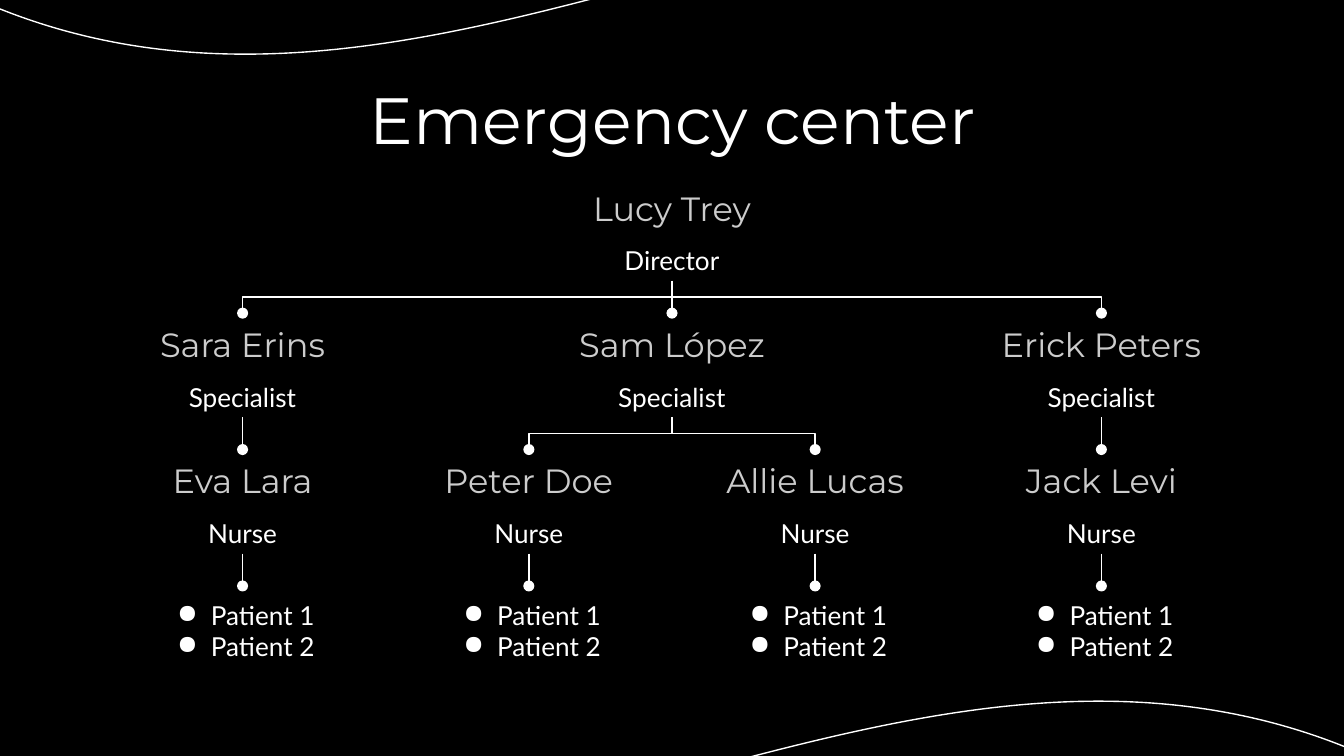
from lxml.etree import SubElement
from pptx import Presentation
from pptx.dml.color import RGBColor
from pptx.enum.shapes import MSO_CONNECTOR, MSO_SHAPE
from pptx.enum.text import MSO_ANCHOR, MSO_AUTO_SIZE, PP_ALIGN
from pptx.oxml.ns import qn
from pptx.util import Pt

SCALE = 4572  # EMU per px, 200 px to the inch
BLACK = RGBColor(0x00, 0x00, 0x00)
WHITE = RGBColor(0xFF, 0xFF, 0xFF)
GRAY = RGBColor(0xCC, 0xCC, 0xCC)
HEADING_FONT = "Montserrat"
BODY_FONT = "Lato"

# Chart grid: four columns, with the center between the middle two
CENTER = 1000
COLUMNS = [361 + 426 * column for column in range(4)]
DIRECTOR_TOP, SPECIALIST_TOP, NURSE_TOP, PATIENTS_TOP = [263 + 203 * row for row in range(4)]
BOX_WIDTH = 408
NAME_HEIGHT = 96
ROLE_OFFSET, ROLE_HEIGHT = 81, 74
PERSON_HEIGHT = ROLE_OFFSET + ROLE_HEIGHT


def px(length):
    return round(length * SCALE)


def write_text(frame, text, size=14, font=BODY_FONT, color=WHITE,
               anchor=MSO_ANCHOR.TOP, bullet=None):
    """Fill a text frame with one centered paragraph per line of text."""
    frame.word_wrap = True
    frame.auto_size = MSO_AUTO_SIZE.NONE
    frame.vertical_anchor = anchor
    frame.margin_left = frame.margin_right = px(20)
    frame.margin_top = frame.margin_bottom = px(20)
    for index, line in enumerate(text.split("\n")):
        paragraph = frame.add_paragraph() if index else frame.paragraphs[0]
        paragraph.alignment = PP_ALIGN.CENTER
        if bullet:
            properties = paragraph._p.get_or_add_pPr()
            properties.set("marL", str(px(60)))
            properties.set("indent", str(px(-50)))
            bullet_color = SubElement(properties, qn("a:buClr"))
            SubElement(bullet_color, qn("a:srgbClr"), val=str(color))
            SubElement(properties, qn("a:buChar"), char=bullet)
        run = paragraph.add_run()
        run.text = line
        run.font.size = Pt(size)
        run.font.name = font
        run.font.color.rgb = color


class OrgChart:
    def __init__(self, presentation):
        self.slide = presentation.slides.add_slide(presentation.slide_layouts[5])
        self.slide.background.fill.solid()
        self.slide.background.fill.fore_color.rgb = BLACK
        self.line_color = WHITE
        self.line_width = Pt(0.75)

    def style_line(self, line):
        line.color.rgb = self.line_color
        line.width = self.line_width

    def wave(self, left, top, width, height):
        shape = self.slide.shapes.add_shape(
            MSO_SHAPE.WAVE, px(left), px(top), px(width), px(height))
        shape.shadow.inherit = False
        shape.adjustments[0] = 0.083
        shape.adjustments[1] = 0
        shape.rotation = 180
        shape.element.spPr.xfrm.set("flipH", "1")
        shape.fill.solid()
        shape.fill.fore_color.rgb = BLACK
        self.style_line(shape.line)
        # Send behind the title
        self.slide.shapes._spTree.insert(2, shape.element)

    def title(self, text, left, top, width, height):
        title = self.slide.shapes.title
        title.left, title.top = px(left), px(top)
        title.width, title.height = px(width), px(height)
        write_text(title.text_frame, text, size=35, font=HEADING_FONT)

    def text(self, text, center, top, height, **text_format):
        box = self.slide.shapes.add_textbox(
            px(center - BOX_WIDTH / 2), px(top), px(BOX_WIDTH), px(height))
        write_text(box.text_frame, text, **text_format)

    def person(self, name, role, center, top):
        self.text(role, center, top + ROLE_OFFSET, ROLE_HEIGHT)
        self.text(name, center, top, NAME_HEIGHT, size=18, font=HEADING_FONT,
                  color=GRAY, anchor=MSO_ANCHOR.BOTTOM)

    def link(self, start, end, parent_top, child_top):
        """Join a person to the row below; bend when the columns differ."""
        top = parent_top + PERSON_HEIGHT
        if start == end:
            kind, ends = MSO_CONNECTOR.STRAIGHT, (start, top, end, child_top)
        else:
            # The elbow runs sideways by default, so it is laid out turned
            kind = MSO_CONNECTOR.ELBOW
            middle_x, middle_y = (start + end) / 2, (top + child_top) / 2
            half_drop, half_span = (child_top - top) / 2, abs(end - start) / 2
            ends = (middle_x - half_drop, middle_y - half_span,
                    middle_x + half_drop, middle_y + half_span)
        connector = self.slide.shapes.add_connector(kind, *map(px, ends))
        if start != end:
            transform = connector.element.spPr.xfrm
            transform.set("rot", str((90 if end < start else 270) * 60000))
            if end > start:
                transform.set("flipH", "1")
        self.style_line(connector.line)
        SubElement(connector.line._get_or_add_ln(), qn("a:tailEnd"), type="oval")
        SubElement(connector.element.spPr, qn("a:effectLst"))


def main():
    presentation = Presentation()
    presentation.slide_width, presentation.slide_height = px(2000), px(1125)
    chart = OrgChart(presentation)

    # Backdrop and title
    chart.wave(-100, -152, 2200, 1428)
    chart.title("Emergency center", 158, 98, 1686, 126)

    # Director
    chart.person("Lucy Trey", "Director", CENTER, DIRECTOR_TOP)

    # Specialists
    specialists = {"Sara Erins": COLUMNS[0], "Sam López": CENTER, "Erick Peters": COLUMNS[3]}
    for name, center in specialists.items():
        chart.person(name, "Specialist", center, SPECIALIST_TOP)
        chart.link(CENTER, center, DIRECTOR_TOP, SPECIALIST_TOP)

    # Nurses with their patients
    nurses = [("Eva Lara", "Sara Erins"), ("Peter Doe", "Sam López"),
              ("Allie Lucas", "Sam López"), ("Jack Levi", "Erick Peters")]
    for center, (name, specialist) in zip(COLUMNS, nurses):
        chart.person(name, "Nurse", center, NURSE_TOP)
        chart.link(specialists[specialist], center, SPECIALIST_TOP, NURSE_TOP)
        chart.text("Patient 1\nPatient 2", center, PATIENTS_TOP, 136, bullet="●")
        chart.link(center, center, NURSE_TOP, PATIENTS_TOP)

    presentation.save("out.pptx")


if __name__ == "__main__":
    main()
